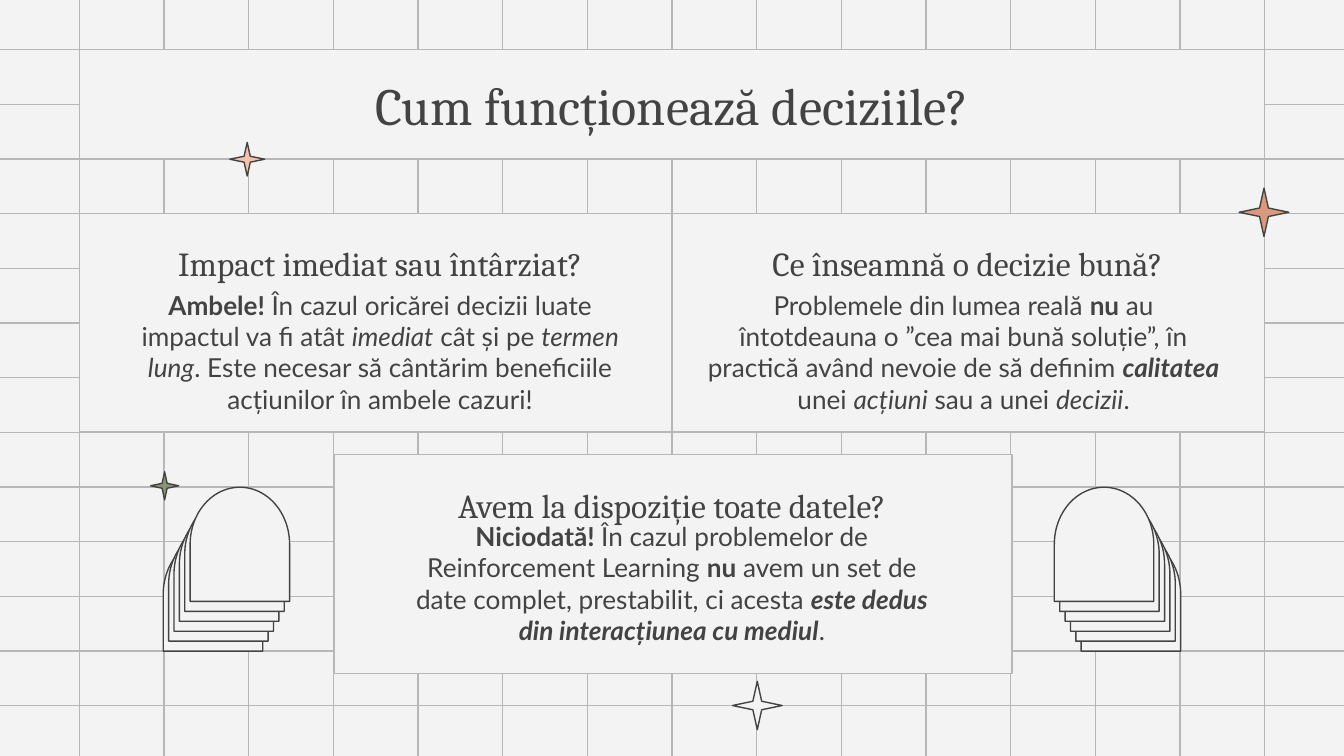
"""Build the slide on how decisions work, with three text panels on a grid."""
from lxml.etree import SubElement
from pptx import Presentation
from pptx.dml.color import RGBColor
from pptx.enum.shapes import MSO_CONNECTOR, MSO_SHAPE
from pptx.enum.text import MSO_ANCHOR, PP_ALIGN
from pptx.oxml.ns import qn
from pptx.util import Inches, Pt

PAPER = RGBColor(0xF3, 0xF3, 0xF3)
GRID = RGBColor(0xB7, 0xB7, 0xB7)
INK = RGBColor(0x43, 0x43, 0x43)
PEACH = RGBColor(0xF2, 0xC2, 0xAB)
CORAL = RGBColor(0xD9, 0x99, 0x7D)
GREEN = RGBColor(0x85, 0x94, 0x77)

deck = Presentation()
deck.slide_width = Inches(10)
deck.slide_height = Inches(10) * 9 // 16
slide = deck.slides.add_slide(deck.slide_layouts[6])
slide.background.fill.solid()
slide.background.fill.fore_color.rgb = PAPER
shapes = slide.shapes


def add_form(kind, box, fill=PAPER, line=INK):
    form = shapes.add_shape(kind, *map(Inches, box))
    form.shadow.inherit = False
    form.fill.solid()
    form.fill.fore_color.rgb = fill
    form.line.color.rgb = line
    form.line.width = Pt(0.75)
    return form


def set_text(form, parts, size, font, anchor, after=0):
    frame = form.text_frame
    frame.word_wrap = True
    frame.vertical_anchor = anchor
    frame.margin_left = frame.margin_right = Inches(0.1)
    frame.margin_top = frame.margin_bottom = Inches(0.1)
    para = frame.paragraphs[0]
    para.alignment = PP_ALIGN.CENTER
    para.space_after = Pt(after)
    for text, style in parts:
        run = para.add_run()
        run.text = text
        run.font.size = Pt(size)
        run.font.name = font
        run.font.color.rgb = INK
        run.font.bold = "b" in style
        run.font.italic = "i" in style


cols = [0.59 + 0.63 * n for n in range(15)]
rows = [0.37 + 4.88 * n / 12 for n in range(13)]
lines = [(x, top, x, end) for x in cols for top, end in ((-0.03, 2.81), (2.81, 5.66))]
lines += [(left, y, end, y) for y in rows for left, end in ((-0.04, 5), (5, 10.04))]
for ends in lines:
    rule = shapes.add_connector(MSO_CONNECTOR.STRAIGHT, *map(Inches, ends))
    rule.line.color.rgb = GRID
    rule.line.width = Pt(0.75)
    SubElement(rule._element.spPr, qn("a:effectLst"))

title = add_form(MSO_SHAPE.RECTANGLE, (0.59, 0.37, 8.82, 0.81), line=GRID)
set_text(title, [("Cum funcționează deciziile?", "")], 28, "Cambria", MSO_ANCHOR.MIDDLE)

panels = [
    ((5, 1.59, 4.41, 1.62), (5.15, 1.74), (5.12, 2.05, 4.1, 1.09),
     "Ce înseamnă o decizie bună?",
     [("Problemele din lumea reală ", ""), ("nu", "b"),
      (" au întotdeauna o ”cea mai bună soluție”, în practică având nevoie de să definim ", ""),
      ("calitatea", "bi"), (" unei ", ""), ("acțiuni", "i"),
      (" sau a unei ", ""), ("decizii", "i"), (".", "")]),
    ((0.59, 1.59, 4.41, 1.62), (0.78, 1.74), (0.78, 2.05, 4.1, 1.09),
     "Impact imediat sau întârziat?",
     [("Ambele! ", "b"), ("În cazul oricărei decizii luate impactul va fi atât ", ""),
      ("imediat", "i"), (" cât și pe ", ""), ("termen lung", "i"),
      (". Este necesar să cântărim beneficiile acțiunilor în ambele cazuri!", "")]),
    ((2.49, 3.38, 5.04, 1.63), (2.95, 3.54), (2.95, 3.77, 4.1, 1.01),
     "Avem la dispoziție toate datele?",
     [("Niciodată! ", "b"), ("În cazul problemelor de Reinforcement Learning ", ""),
      ("nu", "b"), (" avem un set de date complet, prestabilit, ci acesta ", ""),
      ("este dedus din interacțiunea cu mediul", "bi"), (".", "")]),
]
for frame, spot, box, head, body in panels:
    add_form(MSO_SHAPE.RECTANGLE, frame, line=GRID)
    label = shapes.add_textbox(*map(Inches, (*spot, 4.1, 0.47)))
    set_text(label, [(head, "")], 18, "Cambria", MSO_ANCHOR.BOTTOM, 12)
    note = shapes.add_textbox(*map(Inches, box))
    set_text(note, body, 14, "Lato", MSO_ANCHOR.TOP, 12)

for left, step in ((7.99, -0.04), (1.16, 0.04)):
    for n in range(6):
        arch = add_form(MSO_SHAPE.FLOWCHART_DELAY,
                        (left + step * n, 4.05 - 0.37 * n / 5, 0.85, 0.74))
        arch.rotation = 270

stars = [
    ((5.45, 5.07, 0.37, 0.36), PAPER),
    ((1.71, 1.06, 0.26, 0.25), PEACH),
    ((9.22, 1.4, 0.37, 0.36), CORAL),
    ((1.12, 3.51, 0.21, 0.21), GREEN),
]
for box, fill in stars:
    star = add_form(MSO_SHAPE.STAR_4_POINT, box, fill)
    star.adjustments[0] = 0.125

deck.save("out.pptx")
